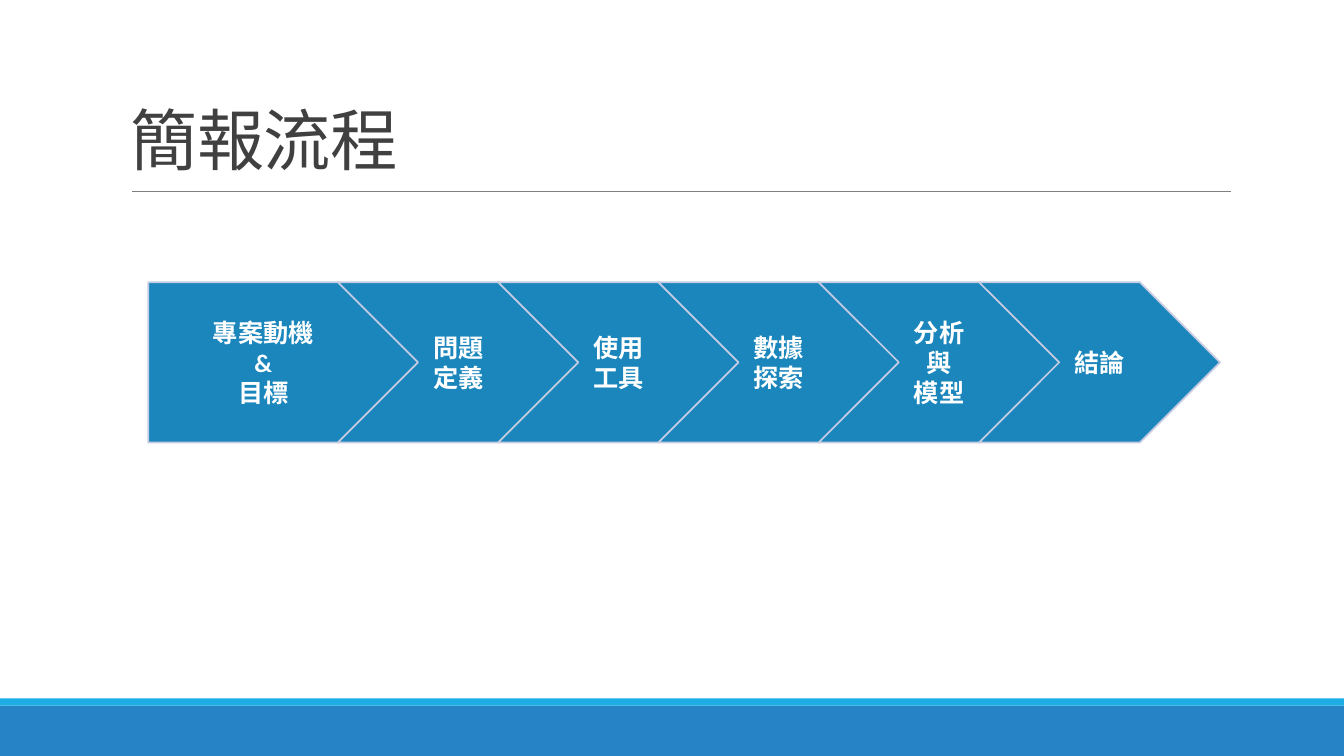
from lxml import etree
from pptx import Presentation
from pptx.dml.color import RGBColor
from pptx.enum.shapes import MSO_CONNECTOR, MSO_SHAPE
from pptx.enum.text import MSO_ANCHOR, PP_ALIGN
from pptx.oxml.ns import qn
from pptx.util import Emu, Pt

RECTANGLE = MSO_SHAPE.RECTANGLE
PENTAGON = MSO_SHAPE.PENTAGON
CHEVRON = MSO_SHAPE.CHEVRON
STRAIGHT = MSO_CONNECTOR.STRAIGHT
MIDDLE = MSO_ANCHOR.MIDDLE
BOTTOM = MSO_ANCHOR.BOTTOM
CENTER = PP_ALIGN.CENTER

EMU_PER_PX = 9144
SLIDE_WIDTH, SLIDE_HEIGHT = 1333, 750
FONT = "Calibri"
STEPS = [
    ["專案動機", "&", "目標"],
    ["問題", "定義"],
    ["使用工具"],
    ["數據探索"],
    ["分析與", "模型"],
    ["結論"],
]


def px(length):
    return Emu(length * EMU_PER_PX)


def color(hex_string):
    return RGBColor.from_string(hex_string)


def add_filled_shape(slide, kind, box, fill):
    shape = slide.shapes.add_shape(kind, *map(px, box))
    shape.shadow.inherit = False
    shape.fill.solid()
    shape.fill.fore_color.rgb = color(fill)
    shape.line.fill.background()
    return shape


def add_footer(slide, box):
    left, top, width, height = box
    stripe = 7
    add_filled_shape(slide, RECTANGLE, (left, top + stripe, width, height - stripe), "2683C6")
    add_filled_shape(slide, RECTANGLE, (left, top, width, stripe), "1CADE4")


def add_title(slide, box, text):
    left, top, width, height = box
    rule_y = top + height + 7
    rule = slide.shapes.add_connector(
        STRAIGHT, px(left + 11), px(rule_y), px(left + width + 1), px(rule_y)
    )
    rule.line.color.rgb = color("808080")
    rule.line.width = Pt(0.5)
    etree.SubElement(rule._element.spPr, qn("a:effectLst"))

    title = slide.shapes.add_textbox(*map(px, box))
    frame = title.text_frame
    frame.word_wrap = True
    frame.vertical_anchor = BOTTOM
    paragraph = frame.paragraphs[0]
    paragraph.line_spacing = 0.85
    run = paragraph.add_run()
    run.text = text
    paragraph.font.name = FONT
    paragraph.font.size = Pt(48)
    paragraph.font.color.rgb = color("404040")
    run.font._element.set("spc", "-50")


def add_step(slide, kind, box, lines):
    step = add_filled_shape(slide, kind, box, "1A86BC")
    step.line.color.rgb = color("C4CBE2")
    step.line.width = Pt(1.25)
    frame = step.text_frame
    frame.word_wrap = True
    frame.vertical_anchor = MIDDLE
    frame.text = "\n".join(lines)
    for paragraph in frame.paragraphs:
        paragraph.alignment = CENTER
        paragraph.font.name = FONT
        paragraph.font.size = Pt(18)
        paragraph.font.bold = True
        paragraph.font.color.rgb = color("FFFFFF")


def add_process(slide, box, steps):
    left, top, width, height = box
    point = height // 2 + 1
    chevron_width = height + point
    first_width = width - (len(steps) - 1) * height
    add_step(slide, PENTAGON, (left, top, first_width, height), steps[0])
    chevron_left = left + first_width - point
    for index, lines in enumerate(steps[1:]):
        step_box = (chevron_left + index * height, top, chevron_width, height)
        add_step(slide, CHEVRON, step_box, lines)


def build_process_slide(presentation):
    slide = presentation.slides.add_slide(presentation.slide_layouts[6])
    add_footer(slide, (0, 693, SLIDE_WIDTH, 57))
    add_process(slide, (147, 280, 1063, 159), STEPS)
    add_title(slide, (120, 24, 1100, 159), "簡報流程")


def main():
    presentation = Presentation()
    presentation.slide_width = px(SLIDE_WIDTH)
    presentation.slide_height = px(SLIDE_HEIGHT)
    build_process_slide(presentation)
    presentation.save("out.pptx")


if __name__ == "__main__":
    main()
